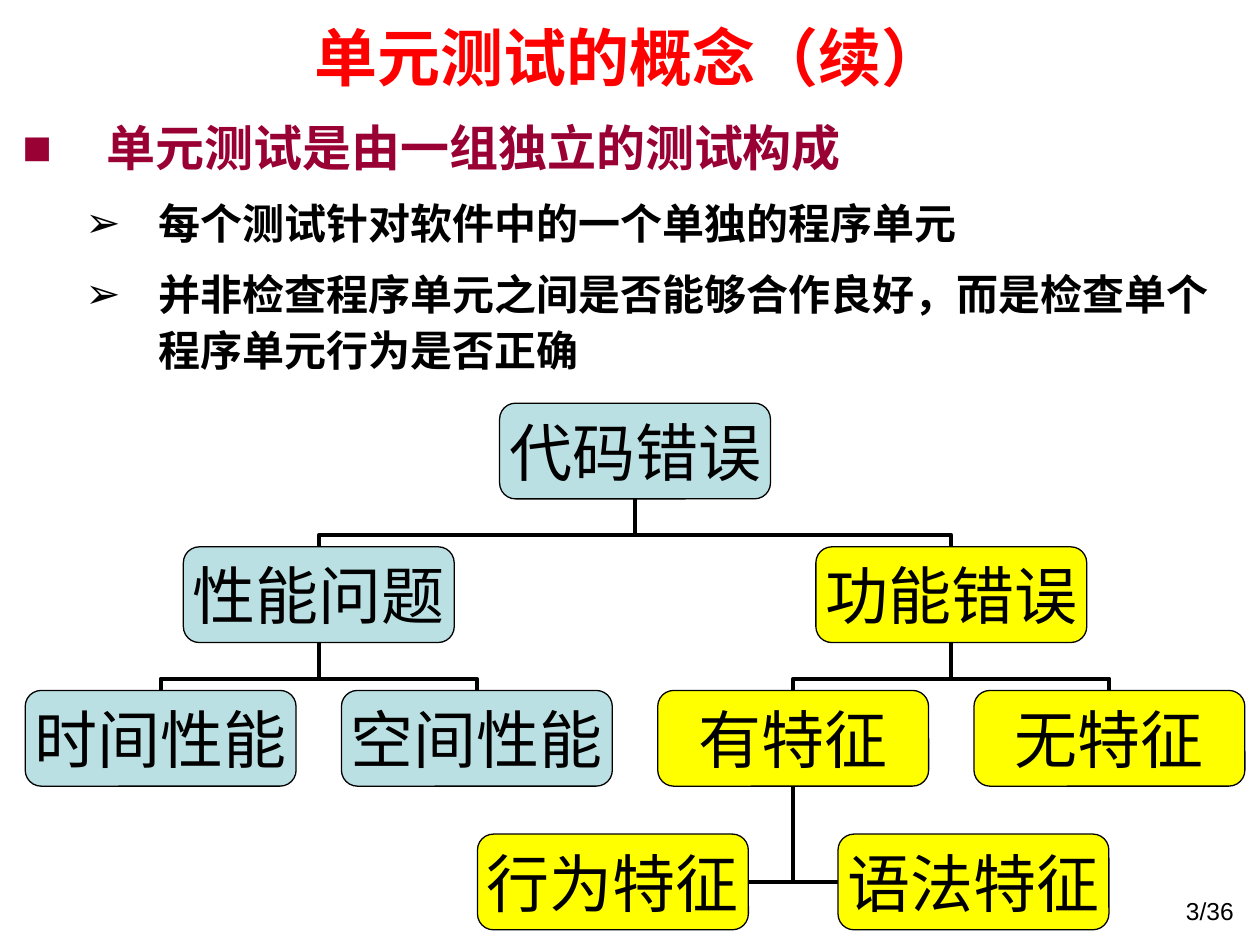
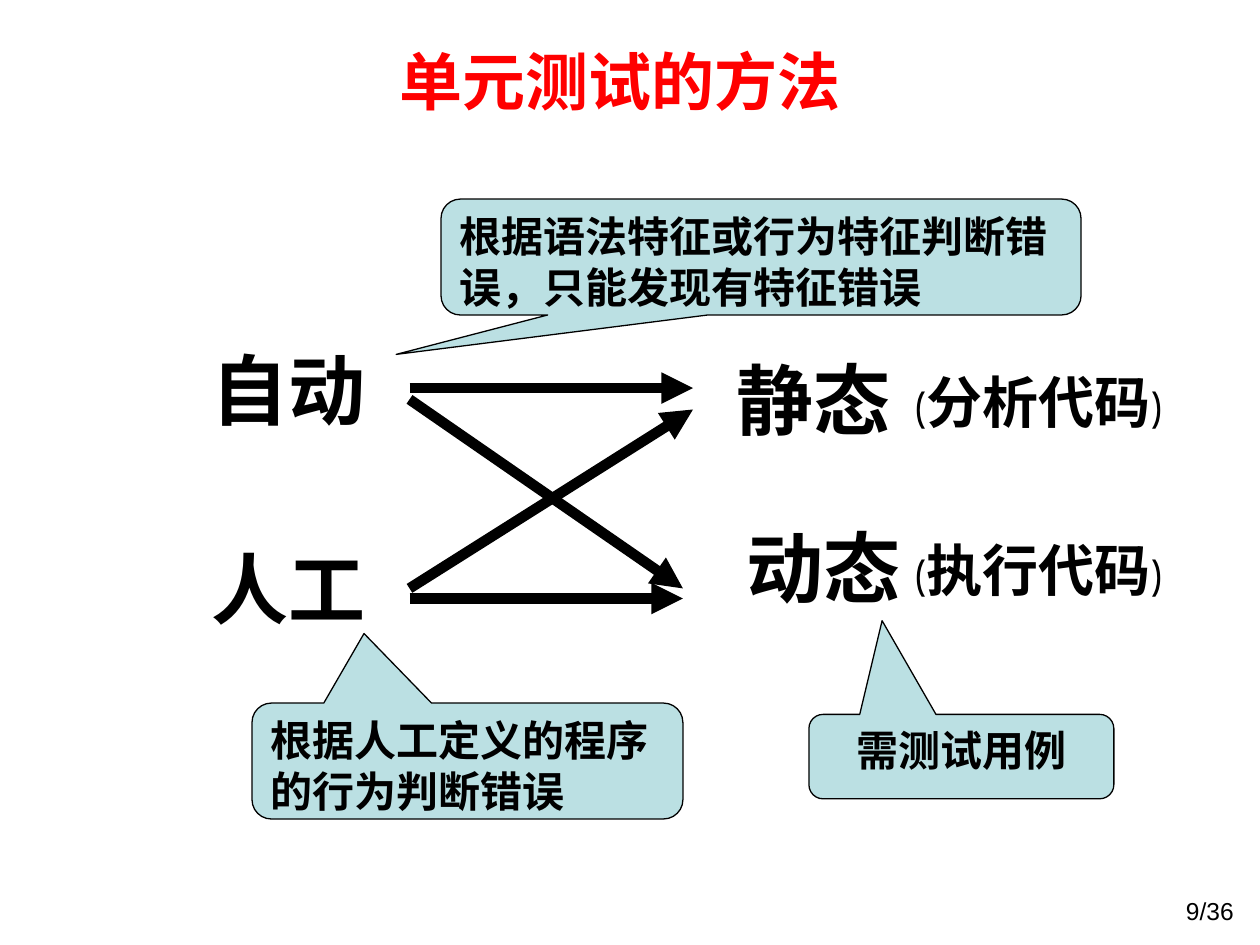
import pptx
import pptx.util
import pptx.dml.color
import pptx.enum.shapes
import pptx.enum.text
import pptx.oxml.ns
from lxml import etree

Inches = pptx.util.Inches
Pt = pptx.util.Pt
RGBColor = pptx.dml.color.RGBColor
MSO_SHAPE = pptx.enum.shapes.MSO_SHAPE
MSO_CONNECTOR = pptx.enum.shapes.MSO_CONNECTOR
MSO_ANCHOR = pptx.enum.text.MSO_ANCHOR
PP_ALIGN = pptx.enum.text.PP_ALIGN
MSO_AUTO_SIZE = pptx.enum.text.MSO_AUTO_SIZE
qn = pptx.oxml.ns.qn

BLACK = RGBColor(0x00, 0x00, 0x00)
RED = RGBColor(0xFF, 0x00, 0x00)
MAROON = RGBColor(0x99, 0x00, 0x33)
PALE_TEAL = RGBColor(0xBB, 0xE0, 0xE3)
YELLOW = RGBColor(0xFF, 0xFF, 0x00)

CJK = "Noto Sans CJK SC"
PAGE_COUNT = 36


def add_run(p, text, size=24, font="Cabin", color=BLACK, bold=False):
    """Append a formatted run to a paragraph."""
    r = p.add_run()
    r.text = text
    r.font.size = Pt(size)
    r.font.name = font
    r.font.bold = bold
    r.font.color.rgb = color
    etree.SubElement(r.font._element, qn("a:ea"), typeface=CJK)


def add_text(s, box, runs, align=PP_ALIGN.LEFT, anchor=MSO_ANCHOR.TOP, grow=False):
    """Add a wrapping text box holding one paragraph of (text, format) runs."""
    tf = s.shapes.add_textbox(*map(Inches, box)).text_frame
    tf.word_wrap = True
    tf.vertical_anchor = anchor
    if grow:
        tf.auto_size = MSO_AUTO_SIZE.SHAPE_TO_FIT_TEXT
    p = tf.paragraphs[0]
    p.alignment = align
    for text, style in runs:
        add_run(p, text, **style)
    return tf


def add_frame(prs, title, title_box, title_anchor, page):
    """Start a slide with its title and page number."""
    s = prs.slides.add_slide(prs.slide_layouts[6])
    add_text(s, (9.1, 7.06, 0.79, 0.32),
             [(f"{page}/{PAGE_COUNT}", dict(size=14, font="Arial"))], PP_ALIGN.RIGHT)
    add_text(s, title_box, [(title, dict(size=36, font=CJK, color=RED, bold=True))],
             PP_ALIGN.CENTER, title_anchor)
    return s


def add_panel(s, kind, box, fill, adjustments):
    """Add a thinly outlined preset shape."""
    sp = s.shapes.add_shape(kind, *map(Inches, box))
    sp.shadow.inherit = False
    sp.fill.solid()
    sp.fill.fore_color.rgb = fill
    sp.line.color.rgb = BLACK
    sp.line.width = Pt(0.75)
    for i, value in enumerate(adjustments):
        sp.adjustments[i] = value
    return sp


def add_line(s, kind, start, end, width):
    """Add a black connector between two points in inches."""
    cxn = s.shapes.add_connector(kind, *map(Inches, (*start, *end)))
    cxn.line.color.rgb = BLACK
    cxn.line.width = Pt(width)
    etree.SubElement(cxn._element.spPr, qn("a:effectLst"))
    return cxn


def add_bullets(s, box, items):
    """Add the two-level bullet list given as (level, text) pairs."""
    styles = [
        dict(indent=0.67, hang=0.67, before=10.5, char="■", size=28, color=MAROON),
        dict(indent=1.08, hang=0.58, before=9, char="➢", size=24, color=BLACK),
    ]
    tf = s.shapes.add_textbox(*map(Inches, box)).text_frame
    tf.word_wrap = True
    for i, (level, text) in enumerate(items):
        style = styles[level]
        p = tf.add_paragraph() if i else tf.paragraphs[0]
        p.level = level
        p.line_spacing = 1.1
        p.space_before = Pt(style["before"])
        pPr = p._p.get_or_add_pPr()
        pPr.set("marL", str(Inches(style["indent"])))
        pPr.set("indent", str(-Inches(style["hang"])))
        color = etree.SubElement(pPr, qn("a:buClr"))
        etree.SubElement(color, qn("a:srgbClr"), val=str(style["color"]))
        etree.SubElement(pPr, qn("a:buFont"), typeface="Arial")
        etree.SubElement(pPr, qn("a:buChar"), char=style["char"])
        add_run(p, text, style["size"], "Arial", style["color"], bold=True)


def add_fork(s, child, parent):
    """Link a child's top up to its parent's bottom with a bent connector."""
    (cx, cy), (px, py) = child, parent
    mid_x, mid_y = (cx + px) / 2, (cy + py) / 2
    half_rise, half_run = (cy - py) / 2, (px - cx) / 2
    cxn = add_line(s, MSO_CONNECTOR.ELBOW, (mid_x - half_rise, mid_y - half_run),
                   (mid_x + half_rise, mid_y + half_run), 2.25)
    spPr = cxn._element.spPr
    spPr.xfrm.set("rot", "16200000")
    guides = spPr.prstGeom.get_or_add_avLst()
    etree.SubElement(guides, qn("a:gd"), name="adj1", fmla="val 24600")


def add_side_link(s, child, parent):
    """Link a child's side to its parent's bottom with one right angle."""
    cxn = add_line(s, MSO_CONNECTOR.ELBOW, child, parent, 2.25)
    cxn._element.spPr.prstGeom.set("prst", "bentConnector2")


def add_error_tree(s, left, top):
    """Draw the tree of code errors from its top left corner."""
    width, height, col_step, row_step = 2.15, 0.76, 2.51, 1.14
    nodes = {
        "代码错误": (1.5, 0, PALE_TEAL, None),
        "性能问题": (0.5, 1, PALE_TEAL, "代码错误"),
        "功能错误": (2.5, 1, YELLOW, "代码错误"),
        "时间性能": (0, 2, PALE_TEAL, "性能问题"),
        "空间性能": (1, 2, PALE_TEAL, "性能问题"),
        "有特征": (2, 2, YELLOW, "功能错误"),
        "无特征": (3, 2, YELLOW, "功能错误"),
        "行为特征": (1.43, 3, YELLOW, "有特征"),
        "语法特征": (2.57, 3, YELLOW, "有特征"),
    }
    corners = {name: (left + col * col_step, top + row * row_step)
               for name, (col, row, _, _) in nodes.items()}
    for name, (_, row, _, parent) in nodes.items():
        if parent is None:
            continue
        x, y = corners[name]
        parent_x, parent_y = corners[parent]
        parent_bottom = (parent_x + width / 2, parent_y + height)
        if row < 3:
            add_fork(s, (x + width / 2, y), parent_bottom)
        else:
            side = x + width if x < parent_x else x
            add_side_link(s, (side, y + height / 2), parent_bottom)
    for name, (_, _, fill, _) in nodes.items():
        sp = add_panel(s, MSO_SHAPE.ROUNDED_RECTANGLE, (*corners[name], width, height),
                       fill, [0.167])
        tf = sp.text_frame
        tf.margin_left = tf.margin_right = tf.margin_top = tf.margin_bottom = 0
        tf.word_wrap = False
        tf.vertical_anchor = MSO_ANCHOR.MIDDLE
        p = tf.paragraphs[0]
        p.alignment = PP_ALIGN.CENTER
        add_run(p, name, 36)


def add_callout(s, box, text, tip, align=PP_ALIGN.LEFT):
    """Add a speech callout whose tip is relative to its centre."""
    sp = add_panel(s, MSO_SHAPE.ROUNDED_RECTANGULAR_CALLOUT, box, PALE_TEAL, [*tip, 0.167])
    tf = sp.text_frame
    tf.word_wrap = True
    tf.vertical_anchor = MSO_ANCHOR.TOP
    p = tf.paragraphs[0]
    p.alignment = align
    add_run(p, text, bold=True)


def add_method_arrows(s, left, top):
    """Draw the arrows that pair each way of working with each method."""
    for y1, x2, y2 in [(1.67, 2.17, 1.67), (1.59, 2.25, 0.17),
                       (0.09, 2.17, 1.59), (0, 2.25, 0)]:
        cxn = add_line(s, MSO_CONNECTOR.STRAIGHT, (left, top + y1),
                       (left + x2, top + y2), 6)
        etree.SubElement(cxn.line._get_or_add_ln(), qn("a:tailEnd"), type="triangle")


def build_concept_slide(prs):
    """Build the slide on the concept of unit testing."""
    s = add_frame(prs, "单元测试的概念（续）", (0.5, 0.14, 9, 0.61), MSO_ANCHOR.MIDDLE, 3)
    add_bullets(s, (0.08, 0.84, 9.72, 2.44), [
        (0, "单元测试是由一组独立的测试构成"),
        (1, "每个测试针对软件中的一个单独的程序单元"),
        (1, "并非检查程序单元之间是否能够合作良好，而是检查单个程序单元行为是否正确"),
    ])
    add_error_tree(s, 0.2, 3.2)


def build_methods_slide(prs):
    """Build the slide on the methods of unit testing."""
    s = add_frame(prs, "单元测试的方法", (0.67, 0.25, 8.5, 0.74), MSO_ANCHOR.BOTTOM, 9)
    add_method_arrows(s, 3.25, 3.08)
    for text, x, y in [("人工", 1.58, 4.25), ("自动", 1.58, 2.67),
                       ("静态", 5.75, 2.75), ("动态", 5.83, 4.08)]:
        add_text(s, (x, y, 1.5, 0.84), [(text, dict(size=44, bold=True))], grow=True)
    for text, box in [("分析代码", (7.17, 2.87, 2.42, 0.64)),
                      ("执行代码", (7.17, 4.2, 2.33, 1.17))]:
        add_text(s, box, [("(", {}), (text, dict(size=32, bold=True)), (")", {})], grow=True)
    add_callout(s, (3.5, 1.58, 5.08, 0.92),
                "根据语法特征或行为特征判断错误，只能发现有特征错误", (-0.57, 0.84))
    add_callout(s, (2, 5.58, 3.42, 0.92), "根据人工定义的程序的行为判断错误", (-0.24, -1.1))
    add_callout(s, (6.42, 5.67, 2.42, 0.67), "需测试用例", (-0.26, -1.61), PP_ALIGN.CENTER)


def main():
    """Build and save the presentation."""
    prs = pptx.Presentation()
    prs.slide_width = Inches(10)
    prs.slide_height = Inches(7.5)
    build_concept_slide(prs)
    build_methods_slide(prs)
    prs.save("out.pptx")


if __name__ == "__main__":
    main()
